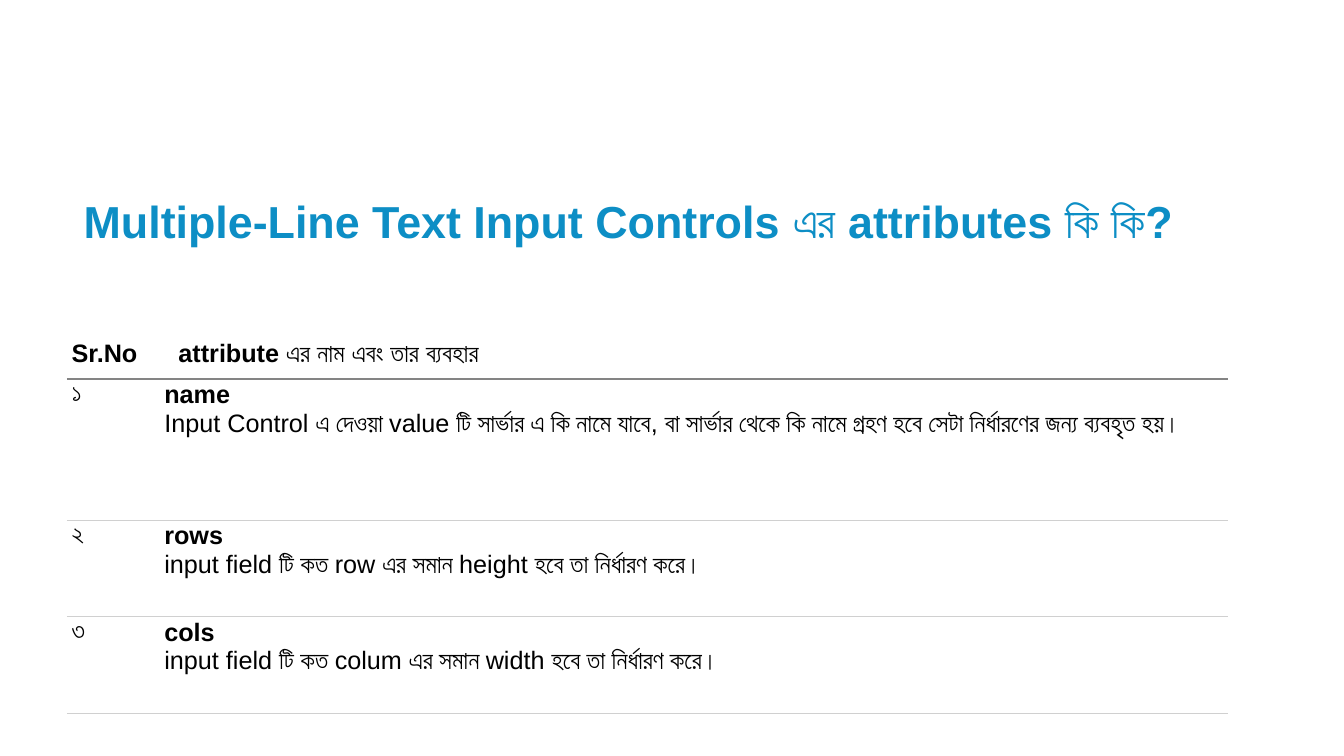
from pptx import Presentation
from pptx.dml.color import RGBColor
from pptx.enum.text import MSO_ANCHOR
from pptx.oxml import parse_xml
from pptx.oxml.ns import nsdecls
from pptx.util import Inches, Pt

TITLE = "Multiple-Line Text Input Controls এর attributes কি কি?"
HEADER = ("Sr.No", "attribute এর নাম এবং তার ব্যবহার")
ATTRIBUTES = [
    ("১", "name", "Input Control এ দেওয়া value টি সার্ভার এ কি নামে যাবে, বা সার্ভার থেকে কি নামে গ্রহণ হবে সেটা নির্ধারণের জন্য ব্যবহৃত হয়।"),
    ("২", "rows", "input field টি কত row এর সমান height হবে তা নির্ধারণ করে।"),
    ("৩", "cols", "input field টি কত colum এর সমান width হবে তা নির্ধারণ করে।"),
]
COL_WIDTHS = (0.92, 10.58)
ROW_HEIGHTS = (0.51, 1.4, 0.96, 0.96)
COLORS = {"title": "0D8EC5", "text": "000000", "header_rule": "848484", "row_rule": "D0D0D0"}
FONT = "Arial"


def style_run(r, size, color, bold):
    r.font.name = FONT
    r.font.size = Pt(size)
    r.font.bold = bold
    r.font.color.rgb = RGBColor.from_string(COLORS[color])


def set_margins(item, x, y):
    item.margin_left = item.margin_right = Inches(x)
    item.margin_top = item.margin_bottom = Inches(y)


def add_rule(cell, side, color, width):
    tc_pr = cell._tc.get_or_add_tcPr()
    line = parse_xml(
        f'<a:{side} {nsdecls("a")} w="{Pt(width)}"><a:solidFill>'
        f'<a:srgbClr val="{COLORS[color]}"/></a:solidFill></a:{side}>'
    )
    tc_pr.insert(0, line)


def rule_for(row):
    return ("header_rule", 1.5) if row == 0 else ("row_rule", 0.75)


def add_title(s):
    tf = s.shapes.add_textbox(Inches(0.83), Inches(1.92), Inches(11.66), Inches(0.54)).text_frame
    tf.word_wrap = True
    tf.vertical_anchor = MSO_ANCHOR.MIDDLE
    set_margins(tf, 0, 0)
    tf.text = TITLE
    style_run(tf.paragraphs[0].runs[0], 32, "title", True)


def add_attribute_table(s):
    rows = [HEADER] + [(number, f"{name}\v{use}") for number, name, use in ATTRIBUTES]
    table = s.shapes.add_table(
        len(rows), len(COL_WIDTHS), Inches(0.67), Inches(3.25),
        Inches(sum(COL_WIDTHS)), Inches(sum(ROW_HEIGHTS)),
    ).table
    table.first_row = table.horz_banding = False
    for column, width in zip(table.columns, COL_WIDTHS):
        column.width = Inches(width)
    for i, (texts, height) in enumerate(zip(rows, ROW_HEIGHTS)):
        table.rows[i].height = Inches(height)
        for j, text in enumerate(texts):
            cell = table.cell(i, j)
            set_margins(cell, 0.04, 0.02)
            cell.vertical_anchor = MSO_ANCHOR.MIDDLE if i == 0 else MSO_ANCHOR.TOP
            cell.fill.background()
            add_rule(cell, "lnB", *rule_for(i))
            if i > 0:
                add_rule(cell, "lnT", *rule_for(i - 1))
            p = cell.text_frame.paragraphs[0]
            p.text = text
            for k, r in enumerate(p.runs):
                style_run(r, 18, "text", i == 0 or (j == 1 and k == 0))
    table.cell(0, 1).margin_left = Inches(0.18)


def main():
    prs = Presentation()
    prs.slide_width, prs.slide_height = Inches(13.33), Inches(7.5)
    s = prs.slides.add_slide(prs.slide_layouts[6])
    add_title(s)
    add_attribute_table(s)
    prs.save("out.pptx")


if __name__ == "__main__":
    main()
